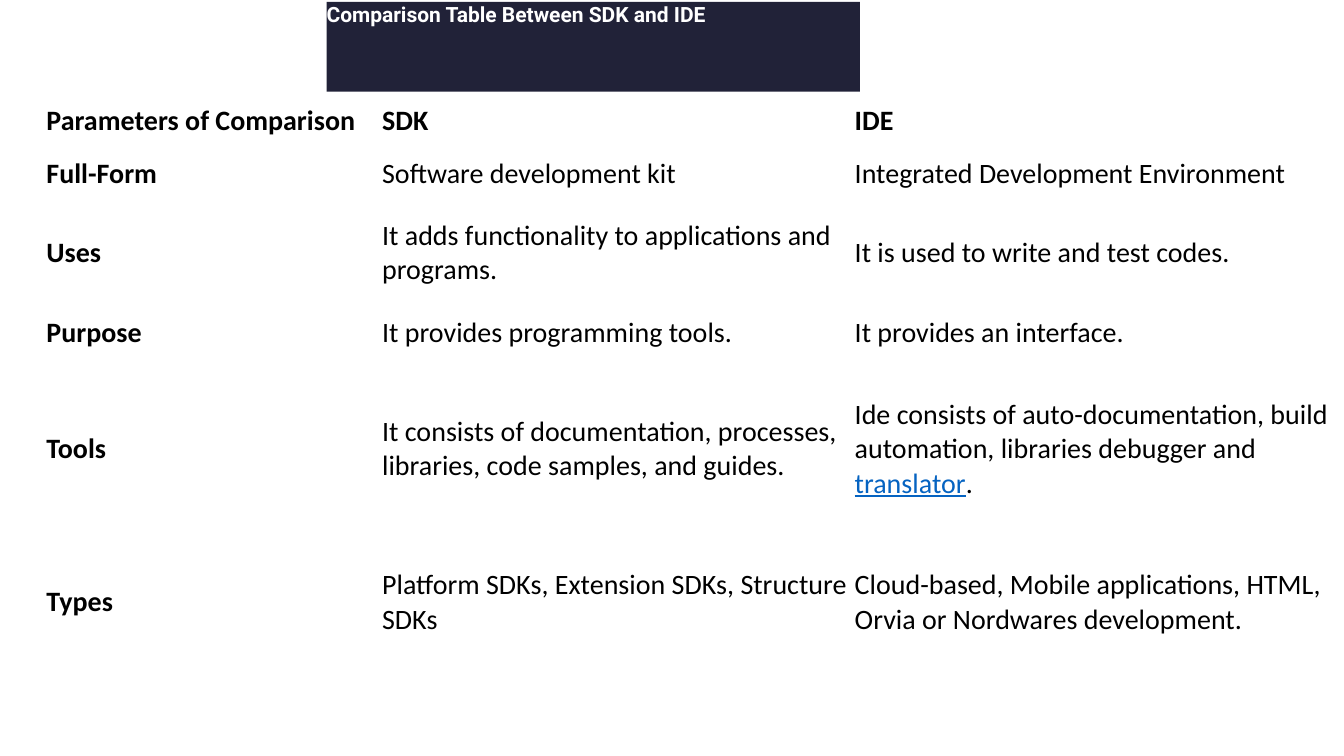
from dataclasses import dataclass

from pptx import Presentation
from pptx import util as u
from pptx.dml import color
from pptx.enum import shapes, text


@dataclass(frozen=True)
class Theme:
    ink: str = "000000"
    link: str = "0563C1"
    banner: str = "212238"
    banner_text: str = "FFFFFF"
    banner_font: str = "Roboto"
    table_font: str = "Calibri"
    banner_size: int = 15
    table_size: int = 20
    cell_margin: float = 0.08


@dataclass(frozen=True)
class Link:
    label: str


class SlideBuilder:
    def __init__(self, slide, theme):
        self.slide = slide
        self.theme = theme

    def add_run(self, paragraph, content, font_name, size, ink, bold=False, underline=False):
        run = paragraph.add_run()
        run.text = content
        run.font.name = font_name
        run.font.size = u.Pt(size)
        run.font.bold = bold
        run.font.underline = underline
        run.font.color.rgb = color.RGBColor.from_string(ink)

    def add_banner(self, title, left, top, width, height):
        theme = self.theme
        shape = self.slide.shapes.add_shape(
            shapes.MSO_SHAPE.RECTANGLE, u.Cm(left), u.Cm(top), u.Cm(width), u.Cm(height)
        )
        shape.shadow.inherit = False
        shape.fill.solid()
        shape.fill.fore_color.rgb = color.RGBColor.from_string(theme.banner)
        shape.line.fill.background()
        frame = shape.text_frame
        frame.word_wrap = True
        frame.vertical_anchor = text.MSO_ANCHOR.TOP
        frame.margin_left = frame.margin_right = frame.margin_top = frame.margin_bottom = 0
        paragraph = frame.paragraphs[0]
        paragraph.alignment = text.PP_ALIGN.LEFT
        self.add_run(
            paragraph, title, theme.banner_font, theme.banner_size, theme.banner_text, bold=True
        )

    def fill_cell(self, cell, parts, bold):
        theme = self.theme
        cell.fill.background()
        cell.vertical_anchor = text.MSO_ANCHOR.MIDDLE
        margin = u.Cm(theme.cell_margin)
        cell.margin_left = cell.margin_right = cell.margin_top = cell.margin_bottom = margin
        paragraph = cell.text_frame.paragraphs[0]
        for part in parts:
            linked = isinstance(part, Link)
            self.add_run(
                paragraph,
                part.label if linked else part,
                theme.table_font,
                theme.table_size,
                theme.link if linked else theme.ink,
                bold,
                linked,
            )

    def add_table(self, rows, left, top, widths, heights):
        table = self.slide.shapes.add_table(
            len(rows), len(widths), u.Cm(left), u.Cm(top), u.Cm(sum(widths)), u.Cm(sum(heights))
        ).table
        table.first_row = table.horz_banding = False
        for column, width in zip(table.columns, widths):
            column.width = u.Cm(width)
        for row, height in zip(table.rows, heights):
            row.height = u.Cm(height)
        for row_index, row in enumerate(rows):
            for column_index, content in enumerate(row):
                parts = [content] if isinstance(content, str) else content
                is_heading = row_index == 0 or column_index == 0
                self.fill_cell(table.cell(row_index, column_index), parts, is_heading)


COMPARISON = [
    ["Parameters of Comparison", "SDK", "IDE"],
    ["Full-Form", "Software development kit", "Integrated Development Environment"],
    [
        "Uses",
        "It adds functionality to applications and programs.",
        "It is used to write and test codes.",
    ],
    ["Purpose", "It provides programming tools.", "It provides an interface."],
    [
        "Tools",
        "It consists of documentation, processes, libraries, code samples, and guides.",
        [
            "Ide consists of auto-documentation, build automation, libraries debugger and ",
            Link("translator"),
            ".",
        ],
    ],
    [
        "Types",
        "Platform SDKs, Extension SDKs, Structure SDKs",
        "Cloud-based, Mobile applications, HTML, Orvia or Nordwares development.",
    ],
]


def main():
    presentation = Presentation()
    presentation.slide_width = u.Cm(33.87)
    presentation.slide_height = u.Cm(19.05)
    slide = presentation.slides.add_slide(presentation.slide_layouts[6])
    builder = SlideBuilder(slide, Theme())
    builder.add_table(
        COMPARISON,
        left=1.09,
        top=2.51,
        widths=[8.46, 11.91, 12.19],
        heights=[1.09, 1.55, 2.46, 1.55, 4.32, 3.4],
    )
    builder.add_banner(
        "Comparison Table Between SDK and IDE", left=8.23, top=0.05, width=13.44, height=2.26
    )
    presentation.save("out.pptx")


if __name__ == "__main__":
    main()
